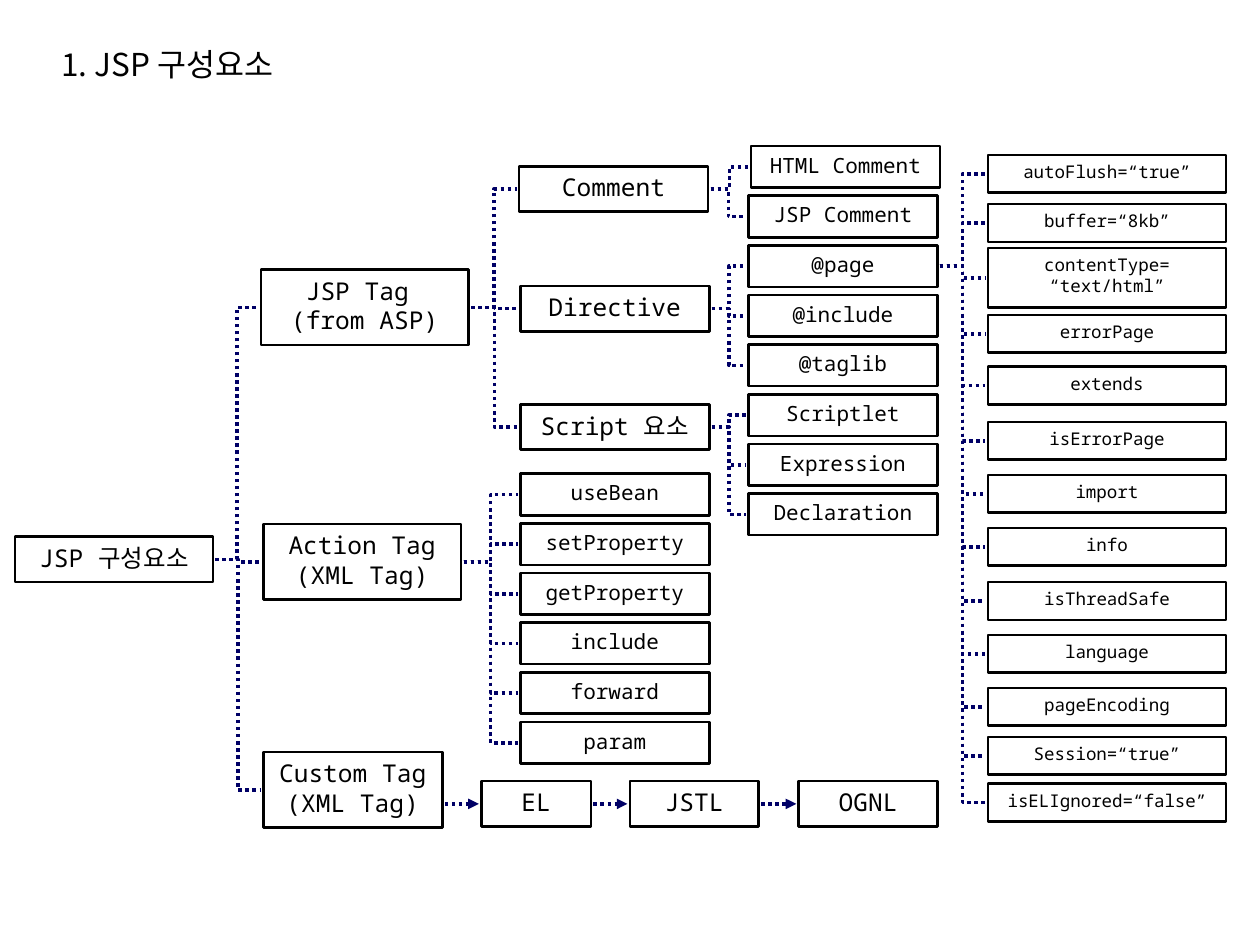
from pptx import Presentation
from pptx.dml.color import RGBColor
from pptx.enum.dml import MSO_LINE
from pptx.enum.shapes import MSO_CONNECTOR, MSO_SHAPE
from pptx.enum.text import MSO_ANCHOR, MSO_AUTO_SIZE, PP_ALIGN
from pptx.oxml.ns import qn
from pptx.util import Inches, Pt

RECT, ELBOW, LINE = MSO_SHAPE.RECTANGLE, MSO_CONNECTOR.ELBOW, MSO_CONNECTOR.STRAIGHT
DOT = MSO_LINE.ROUND_DOT
TOP, GROW, MID = MSO_ANCHOR.TOP, MSO_AUTO_SIZE.SHAPE_TO_FIT_TEXT, PP_ALIGN.CENTER
FONT, BLACK, NAVY = "Noto Sans Mono", "000000", "000066"
GAP, STEP = 0.02, 0.394
HEIGHTS = {14: (0.36, 0.6), 12: (0.33, 0.57), 10: (0.3, 0.47)}

TITLE = "1. JSP 구성요소"
MAIN = [
    ("root", "JSP 구성요소", 0.12, 4.26, 1.57),
    ("tag", "JSP Tag \n(from ASP)", 2.07, 2.14, 1.65),
    ("action", "Action Tag\n(XML Tag)", 2.09, 4.16, 1.57),
    ("custom", "Custom Tag\n(XML Tag)", 2.09, 5.97, 1.42),
    ("comment", "Comment", 4.12, 1.32, 1.5),
    ("direct", "Directive", 4.13, 2.27, 1.5),
    ("script", "Script 요소", 4.13, 3.21, 1.5),
    ("el", "EL", 3.82, 6.2, 0.87),
    ("jstl", "JSTL", 5, 6.2, 1.02),
    ("ognl", "OGNL", 6.34, 6.2, 1.1),
]
ACTIONS = ["useBean", "setProperty", "getProperty", "include", "forward", "param"]
PARTS = ["HTML Comment", "JSP Comment", "@page", "@include", "@taglib",
         "Scriptlet", "Expression", "Declaration"]
ATTRS = [
    ("autoFlush=“true”", 1.23), ("buffer=“8kb”", 1.62),
    ("contentType=\n“text/html”", 1.97), ("errorPage", 2.5),
    ("extends", 2.91), ("isErrorPage", 3.35), ("import", 3.77),
    ("info", 4.19), ("isThreadSafe", 4.62), ("language", 5.04),
    ("pageEncoding", 5.46), ("Session=“true”", 5.85),
    ("isELIgnored=“false”", 6.22),
]
TREE = {
    "root": ["tag", "action", "custom"],
    "tag": ["comment", "direct", "script"],
    "action": ACTIONS,
    "comment": PARTS[:2],
    "direct": PARTS[2:5],
    "script": PARTS[5:],
    "@page": [name for name, _ in ATTRS],
}
CHAIN = ["custom", "el", "jstl", "ognl"]

prs = Presentation()
prs.slide_width, prs.slide_height = Inches(10), Inches(7.5)
slide = prs.slides.add_slide(prs.slide_layouts[6])
boxes = {}


def color(code):
    return RGBColor.from_string(code)


def write(shape, text, size, font):
    frame = shape.text_frame
    frame.text = text
    frame.auto_size = GROW
    frame.vertical_anchor = TOP
    for para in frame.paragraphs:
        para.font.size = Pt(size)
        para.font.name = font
        para.font.color.rgb = color(BLACK)
    return frame


def box(key, text, x, y, w, size):
    h = HEIGHTS[size][text.count("\n")]
    shape = slide.shapes.add_shape(RECT, Inches(x), Inches(y), Inches(w), Inches(h))
    shape.shadow.inherit = False
    shape.fill.background()
    shape.line.color.rgb = color(BLACK)
    shape.line.width = Pt(1.5)
    frame = write(shape, text, size, FONT)
    frame.word_wrap = True
    for para in frame.paragraphs:
        para.alignment = MID
    boxes[key] = (x, y + h / 2, x + w)


def link(kind, x1, y1, x2, y2):
    wire = slide.shapes.add_connector(kind, Inches(x1), Inches(y1), Inches(x2), Inches(y2))
    wire.line.color.rgb = color(NAVY)
    wire.line.width = Pt(2)
    wire.line.dash_style = DOT
    props = wire._element.spPr
    if kind == LINE:
        ln = wire.line._get_or_add_ln()
        ln.append(ln.makeelement(qn("a:tailEnd"), {"type": "triangle"}))
    props.append(props.makeelement(qn("a:effectLst"), {}))


title = slide.shapes.add_textbox(Inches(0.39), Inches(0.31), Inches(1.96), Inches(0.4))
write(title, TITLE, 18, "Noto Sans CJK KR").word_wrap = False

for key, text, x, y, w in MAIN:
    box(key, text, x, y, w, 14)
for i, name in enumerate(ACTIONS):
    box(name, name, 4.13, 3.76 + i * STEP, 1.5, 12)
for i, name in enumerate(PARTS):
    box(name, name, 5.94 if i else 5.96, 1.16 + i * STEP, 1.5, 12)
for name, y in ATTRS:
    box(name, name, 7.84, y, 1.89, 10)

for key, kids in TREE.items():
    _, y, right = boxes[key]
    for kid in kids:
        left, end, _ = boxes[kid]
        link(ELBOW, right + GAP, y, left - GAP, end)

for key, after in zip(CHAIN, CHAIN[1:]):
    left, y, _ = boxes[after]
    link(LINE, boxes[key][2] + GAP, y, left - GAP, y)

prs.save("out.pptx")
